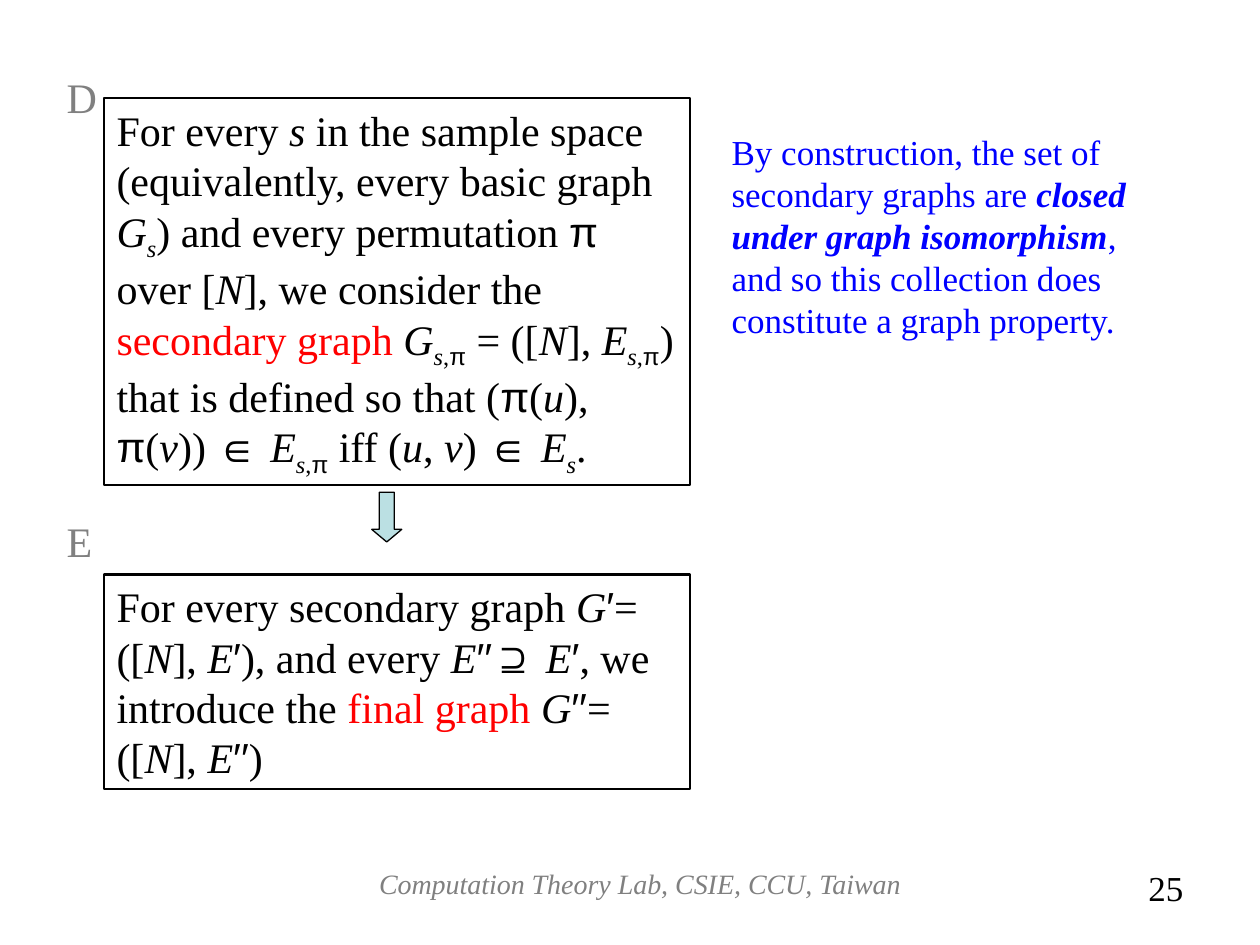
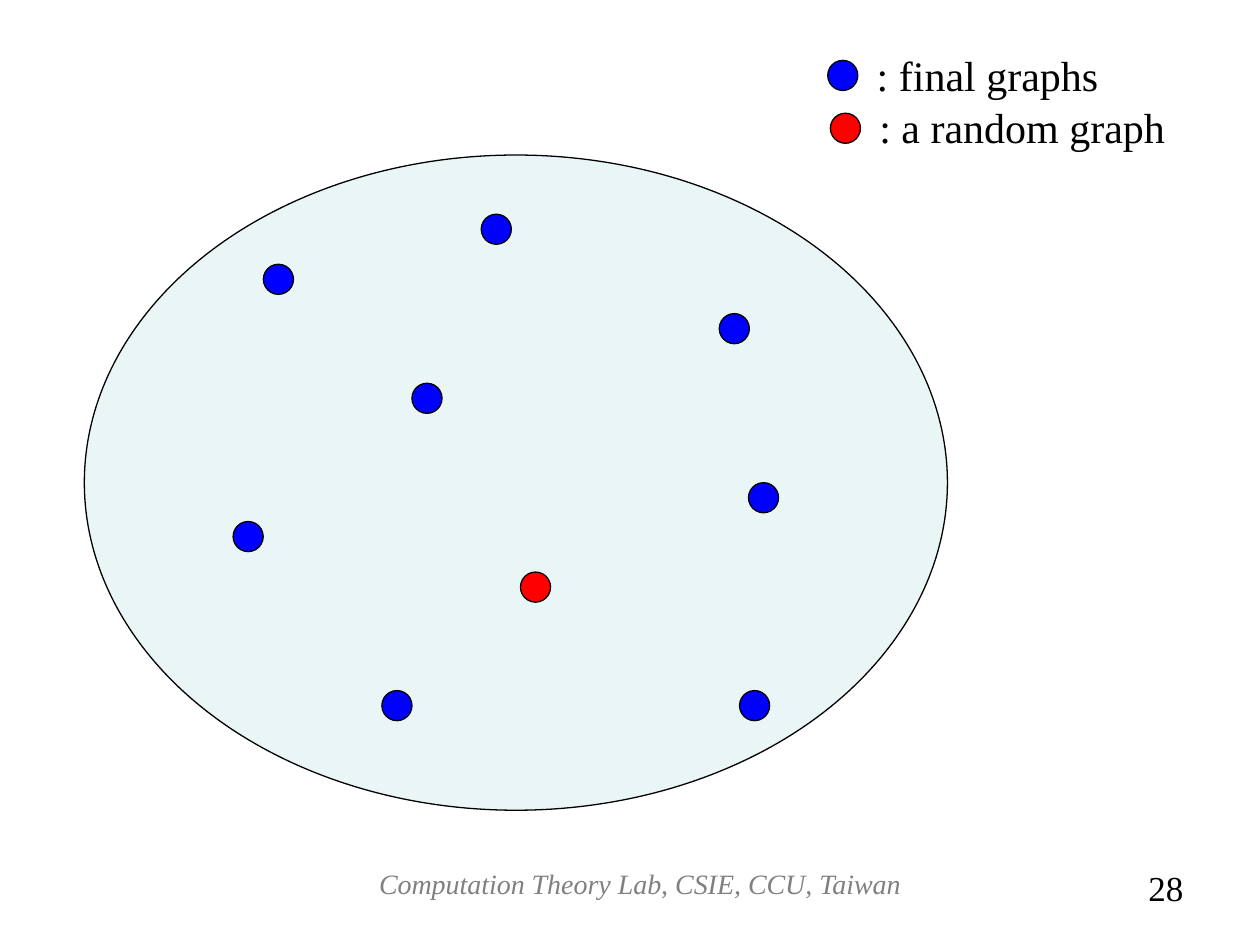
from lxml import etree
from pptx import Presentation
from pptx.dml.color import RGBColor
from pptx.enum import shapes, text
from pptx.oxml.ns import qn
from pptx.util import Pt

BLACK = RGBColor(0, 0, 0)
GRAY = RGBColor(0x80, 0x80, 0x80)
RED = RGBColor(0xFF, 0, 0)
BLUE = RGBColor(0, 0, 0xFF)
AQUA = RGBColor(0xBB, 0xE0, 0xE3)
SERIF, SANS = "Times New Roman", "Arial"
FORM = shapes.MSO_SHAPE
ALIGN = text.PP_ALIGN

# Run marks: i italic, b bold, s subscript, a sans font, r red
SECOND = [
    ("For every ", ""), ("s", "i"),
    (" in the sample space (equivalently, every basic graph ", ""),
    ("G", "i"), ("s", "is"), (") and every permutation ", ""), ("π", "a"),
    (" over [", ""), ("N", "i"), ("], we consider the ", ""),
    ("secondary graph ", "r"), ("G", "i"), ("s", "is"), (",", "s"), ("π", "as"),
    (" = ([", ""), ("N", "i"), ("], ", ""),
    ("E", "i"), ("s", "is"), (",", "s"), ("π", "as"),
    (") that is defined so that (", ""), ("π", "a"), ("(", ""), ("u", "i"),
    ("), ", ""), ("π", "a"), ("(", ""), ("v", "i"), (")) ", ""), ("∈ ", "a"),
    ("E", "i"), ("s", "is"), (",", "s"), ("π", "as"),
    (" iff (", ""), ("u", "i"), (", ", ""), ("v", "i"), (") ", ""), ("∈ ", "a"),
    ("E", "i"), ("s", "is"), (".", ""),
]
FINAL = [
    ("For every secondary graph ", ""), ("G", "i"), ("′", "a"), ("= ([", ""),
    ("N", "i"), ("], ", ""), ("E", "i"), ("′", "a"), ("), and every ", ""),
    ("E", "i"), ("′′⊇ ", "a"), ("E", "i"), ("′", "a"), (", we introduce the ", ""),
    ("final graph ", "r"), ("G", "i"), ("′′", "a"), ("= ([", ""), ("N", "i"),
    ("], ", ""), ("E", "i"), ("′′", "a"), (")", ""),
]
CLOSED = [
    ("By construction, the set of secondary graphs are ", ""),
    ("closed under graph isomorphism", "bi"),
    (", and so this collection does constitute a graph property.", ""),
]
# letter, its top, step text, box top, box height
STEPS = [("D", 37.4, SECOND, 56.2, 221), ("E", 290.9, FINAL, 328.3, 122.4)]
# label, colour, left, top, width
KEYS = [(": final graphs", BLUE, 493.9, 24.5, 170),
        (": a random graph", RED, 495.4, 54.7, 180.7)]
FINALS = [(150.5, 151), (275, 122.4), (235.4, 219), (411, 179.2),
          (422.6, 394.6), (218.2, 394.6), (133.2, 298), (427.7, 275.8)]
RANDOM = (297.4, 326.9)
DOT = 17.2
LAB = "Computation Theory Lab, CSIE, CCU, Taiwan"


def write(slide, runs, *place, size=24, color=BLACK, mark="",
          align=ALIGN.LEFT, grow=True, edge=False):
    """Add a text box from a string or from (text, marks) runs."""
    box = slide.shapes.add_textbox(*map(Pt, place))
    if edge:
        box.line.color.rgb = BLACK
        box.line.width = Pt(1.25)
    frame = box.text_frame
    frame.word_wrap = True
    if grow:
        frame.auto_size = text.MSO_AUTO_SIZE.SHAPE_TO_FIT_TEXT
    para = frame.paragraphs[0]
    para.alignment = align
    for words, marks in [(runs, mark)] if isinstance(runs, str) else runs:
        run = para.add_run()
        run.text = words
        font = run.font
        font.size = Pt(size)
        font.name = SANS if "a" in marks else SERIF
        font.color.rgb = RED if "r" in marks else color
        font.italic = "i" in marks
        font.bold = "b" in marks
        if "s" in marks:
            run._r.get_or_add_rPr().set("baseline", "-25000")


def draw(slide, form, color, *place):
    shape = slide.shapes.add_shape(form, *map(Pt, place))
    shape.shadow.inherit = False
    shape.fill.solid()
    shape.fill.fore_color.rgb = color
    shape.line.color.rgb = BLACK
    shape.line.width = Pt(0.75)
    return shape


def dot(slide, color, left, top):
    draw(slide, FORM.OVAL, color, left, top, DOT, DOT)


def page(deck, number):
    """Add a slide with the shared footer and its page number."""
    slide = deck.slides.add_slide(deck.slide_layouts[6])
    write(slide, LAB, 172.8, 491.8, 385.9, 37.4, size=16, color=GRAY,
          mark="i", align=ALIGN.CENTER, grow=False)
    write(slide, number, 575.3, 491.8, 108, 37.4, size=20,
          align=ALIGN.RIGHT, grow=False)
    return slide


def steps(deck):
    slide = page(deck, "25")
    arrow = draw(slide, FORM.DOWN_ARROW, AQUA, 212.4, 281.3, 17.2, 28.4)
    arrow.adjustments[1] = 0.418
    for letter, rise, runs, top, high in STEPS:
        write(slide, runs, 59.5, top, 334.8, high, edge=True)
        write(slide, letter, 31, rise, 45.4, 36, color=GRAY)
    write(slide, CLOSED, 411, 71.2, 254.9, 127.4, size=20, color=BLUE)


def cloud(deck):
    slide = page(deck, "28")
    field = draw(slide, FORM.OVAL, AQUA, 48.2, 88.6, 493.2, 374.4)
    tint = field.fill._xPr.find(".//" + qn("a:srgbClr"))
    etree.SubElement(tint, qn("a:alpha")).set("val", "30000")
    for label, color, left, top, wide in KEYS:
        write(slide, label, left, top, wide, 36)
        dot(slide, color, left - 20.9, top + 10)
    for spot in FINALS:
        dot(slide, BLUE, *spot)
    dot(slide, RED, *RANDOM)


def main():
    deck = Presentation()
    deck.slide_width, deck.slide_height = Pt(720), Pt(540)
    steps(deck)
    cloud(deck)
    deck.save("out.pptx")


if __name__ == "__main__":
    main()
